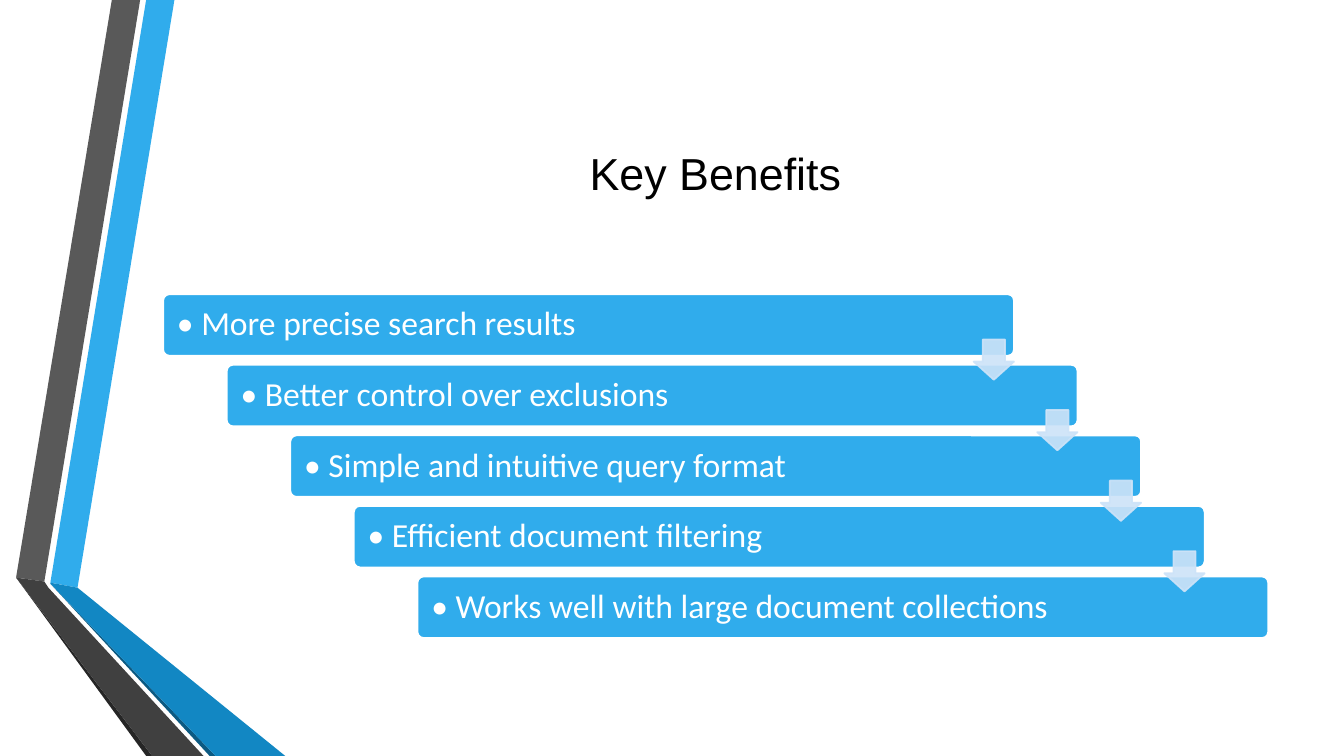
"""Build the Key Benefits slide: a staircase of bars beside a folded ribbon."""
from dataclasses import dataclass

from lxml import etree
from pptx import Presentation
from pptx.dml.color import RGBColor
from pptx.enum.shapes import MSO_SHAPE
from pptx.enum.text import MSO_ANCHOR, PP_ALIGN
from pptx.oxml.ns import qn
from pptx.util import Pt

ROUND_RECT = MSO_SHAPE.ROUNDED_RECTANGLE
DOWN_ARROW = MSO_SHAPE.DOWN_ARROW
MIDDLE = MSO_ANCHOR.MIDDLE
LEFT, CENTER = PP_ALIGN.LEFT, PP_ALIGN.CENTER

BLUE, PALE, WHITE, BLACK = "30ACEC", "CDE3F8", "FFFFFF", "000000"
BAR_X, BAR_Y, BAR_W, BAR_H = 116.6, 210.2, 607.7, 43.9
STEP_X, STEP_Y = 45.4, 50.4
ARROW_SIZE, ARROW_DROP = 28.8, 32.3


@dataclass
class Facet:
    color: str
    points: list[tuple[float, float]]


@dataclass
class Box:
    x: float
    y: float
    w: float
    h: float


FACETS = [
    Facet(BLUE, [(36, 416.2), (55.4, 419.8), (124.6, 0), (104.4, 0)]),
    Facet("595959", [(100.1, 0), (79.9, 0), (11.5, 412.6), (31.7, 415.4)]),
    Facet("262626", [(11.5, 412.6), (104.4, 540), (108.7, 540)]),
    Facet("0C5A82", [(36, 416.9), (149.8, 540), (154.1, 540)]),
    Facet("1287C3", [(36, 416.2), (36, 416.9), (154.1, 540), (203.8, 540), (55.4, 419.8)]),
    Facet("404040", [(145.4, 540), (34.6, 419.8), (31.7, 415.4), (11.5, 412.6), (108.7, 540)]),
]
BENEFITS = [
    "More precise search results",
    "Better control over exclusions",
    "Simple and intuitive query format",
    "Efficient document filtering",
    "Works well with large document collections",
]


def rgb(color: str) -> RGBColor:
    return RGBColor.from_string(color)


def set_fill(sp, color: str) -> None:
    sp.shadow.inherit = False
    sp.fill.solid()
    sp.fill.fore_color.rgb = rgb(color)


def set_opacity(sp, percent: int) -> None:
    for clr in sp.element.spPr.iter(qn("a:srgbClr")):
        etree.SubElement(clr, qn("a:alpha"), val=str(percent * 1000))


def add_facet(s, facet: Facet) -> None:
    points = [(Pt(x), Pt(y)) for x, y in facet.points]
    builder = s.shapes.build_freeform(*points[0])
    builder.add_line_segments(points[1:], close=True)
    sp = builder.convert_to_shape()
    set_fill(sp, facet.color)
    sp.line.fill.background()


def add_shape(s, kind, box: Box, *, fill: str, line: str, adj: tuple[float, ...]):
    sp = s.shapes.add_shape(kind, Pt(box.x), Pt(box.y), Pt(box.w), Pt(box.h))
    for i, value in enumerate(adj):
        sp.adjustments[i] = value
    set_fill(sp, fill)
    sp.line.color.rgb = rgb(line)
    sp.line.width = Pt(1.25)
    return sp


def write(sp, text: str, *, font: str, size: float, color: str,
          align=LEFT, inset: float = 7.2, spacing: float = 1.0) -> None:
    tf = sp.text_frame
    tf.word_wrap = True
    tf.vertical_anchor = MIDDLE
    tf.margin_left = tf.margin_right = Pt(inset)
    p = tf.paragraphs[0]
    p.alignment = align
    p.line_spacing = spacing
    r = p.add_run()
    r.text = text
    r.font.name = font
    r.font.size = Pt(size)
    r.font.color.rgb = rgb(color)


def main() -> None:
    prs = Presentation()
    prs.slide_width, prs.slide_height = Pt(960), Pt(540)
    s = prs.slides.add_slide(prs.slide_layouts[6])

    for facet in FACETS:
        add_facet(s, facet)

    title = s.shapes.add_textbox(Pt(116.6), Pt(54), Pt(789.1), Pt(138.2))
    write(title, "Key Benefits", font="Arial", size=32, color=BLACK, align=CENTER)

    bars = [Box(BAR_X + i * STEP_X, BAR_Y + i * STEP_Y, BAR_W, BAR_H)
            for i in range(len(BENEFITS))]
    for bar, benefit in zip(bars, BENEFITS):
        sp = add_shape(s, ROUND_RECT, bar, fill=BLUE, line=WHITE, adj=(0.1,))
        write(sp, f"• {benefit}", font="Calibri", size=24, color=WHITE,
              inset=8.6, spacing=0.9)

    for bar in bars[:-1]:
        box = Box(bar.x + bar.w - ARROW_SIZE, bar.y + ARROW_DROP, ARROW_SIZE, ARROW_SIZE)
        sp = add_shape(s, DOWN_ARROW, box, fill=PALE, line=PALE, adj=(0.55, 0.45))
        set_opacity(sp, 90)

    prs.save("out.pptx")


if __name__ == "__main__":
    main()
